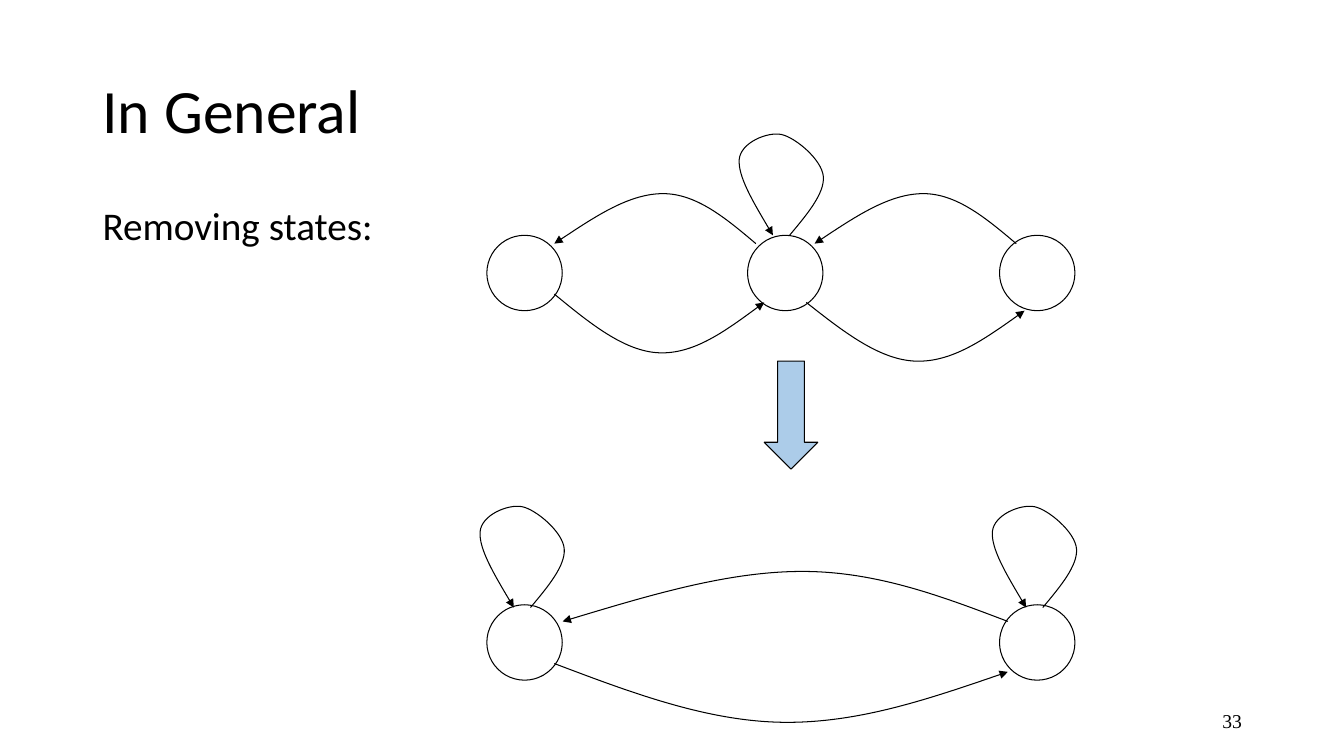
from dataclasses import dataclass

from pptx import Presentation
from pptx.dml.color import RGBColor
from pptx.enum.shapes import MSO_SHAPE
from pptx.enum.text import MSO_ANCHOR, MSO_AUTO_SIZE, PP_ALIGN
from pptx.oxml.xmlchemy import OxmlElement
from pptx.util import Cm, Pt

OVAL = MSO_SHAPE.OVAL
DOWN_ARROW = MSO_SHAPE.DOWN_ARROW
TOP = MSO_ANCHOR.TOP
MIDDLE = MSO_ANCHOR.MIDDLE
NO_AUTOFIT = MSO_AUTO_SIZE.NONE
LEFT = PP_ALIGN.LEFT
RIGHT = PP_ALIGN.RIGHT

BLACK = RGBColor(0x00, 0x00, 0x00)
BLUE = RGBColor(0x5B, 0x9B, 0xD5)
LINE_WIDTH = Pt(0.75)
STATE_SIZE = 1.9
LEFT_STATE, MIDDLE_STATE, RIGHT_STATE = 12.27, 18.84, 25.19
UPPER_ROW, LOWER_ROW = 5.93, 15.24


@dataclass(frozen=True)
class Point:
    x: float
    y: float

    def __add__(self, other: "Point") -> "Point":
        return Point(self.x + other.x, self.y + other.y)

    def __sub__(self, other: "Point") -> "Point":
        return Point(self.x - other.x, self.y - other.y)

    def scaled(self, factor: float) -> "Point":
        return Point(self.x * factor, self.y * factor)


@dataclass(frozen=True)
class Label:
    text: str
    left: float
    top: float
    width: float
    height: float
    font: str
    size: int
    anchor: MSO_ANCHOR
    alignment: PP_ALIGN
    line_spacing: float


STATES = [
    Point(LEFT_STATE, UPPER_ROW),
    Point(MIDDLE_STATE, UPPER_ROW),
    Point(RIGHT_STATE, UPPER_ROW),
    Point(LEFT_STATE, LOWER_ROW),
    Point(RIGHT_STATE, LOWER_ROW),
]
ARCS = [
    [Point(13.97, 7.41), Point(16.61, 8.89), Point(19.26, 7.62)],
    [Point(19.05, 6.14), Point(16.71, 4.88), Point(13.97, 6.14)],
    [Point(20.32, 7.62), Point(23.07, 9.1), Point(25.82, 7.83)],
    [Point(25.61, 6.14), Point(23.27, 4.88), Point(20.53, 6.14)],
    [Point(13.97, 16.72), Point(19.69, 18.2), Point(25.4, 16.93)],
    [Point(25.4, 15.66), Point(20.22, 14.4), Point(14.18, 15.66)],
]
LOOP_STARTS = [Point(19.9, 5.93), Point(13.37, 15.31), Point(26.28, 15.31)]
LOOP_OFFSETS = [
    Point(0, 0),
    Point(0.85, -1.48),
    Point(-0.21, -2.54),
    Point(-1.27, -1.91),
    Point(-0.42, 0),
]
TITLE = Label("In General", 2.33, 1.01, 29.21, 3.68, "Calibri", 44, MIDDLE, LEFT, 0.9)
BODY = Label("Removing states:", 2.33, 5.07, 29.21, 12.09, "Calibri", 28, TOP, LEFT, 0.9)
NUMBER = Label("33", 23.93, 17.65, 7.62, 1.01, "Times New Roman", 14, MIDDLE, RIGHT, 1.0)


def write_label(shape, label: Label) -> None:
    shape.left, shape.top = Cm(label.left), Cm(label.top)
    shape.width, shape.height = Cm(label.width), Cm(label.height)
    frame = shape.text_frame
    frame.word_wrap = True
    frame.auto_size = NO_AUTOFIT
    frame.vertical_anchor = label.anchor
    paragraph = frame.paragraphs[0]
    properties = shape.element.xpath(".//a:p")[0].get_or_add_pPr()
    properties.set("marL", str(Cm(0)))
    properties.set("indent", str(Cm(0)))
    properties.append(OxmlElement("a:buNone"))
    paragraph.alignment = label.alignment
    paragraph.line_spacing = label.line_spacing
    paragraph.space_before = Pt(0)
    run = paragraph.add_run()
    run.text = label.text
    run.font.name = label.font
    run.font.size = Pt(label.size)
    run.font.color.rgb = BLACK


def style_outline(shape) -> None:
    shape.shadow.inherit = False
    shape.fill.background()
    shape.line.color.rgb = BLACK
    shape.line.width = LINE_WIDTH


def draw_state(slide, corner: Point) -> None:
    size = Cm(STATE_SIZE)
    style_outline(slide.shapes.add_shape(OVAL, Cm(corner.x), Cm(corner.y), size, size))


def bezier_points(knots: list[Point]) -> list[Point]:
    tangents = [(after - before).scaled(1 / 6) for before, after in zip(knots, knots[2:])]
    points = []
    for index, (start, end) in enumerate(zip(knots, knots[1:])):
        first = start + tangents[index - 1] if index else None
        second = end - tangents[index] if index < len(tangents) else None
        first = first or (start + second).scaled(0.5)
        second = second or (first + end).scaled(0.5)
        points += [first, second, end]
    return points


def draw_transition(slide, knots: list[Point]) -> None:
    builder = slide.shapes.build_freeform(Cm(knots[0].x), Cm(knots[0].y))
    points = [(Cm(point.x), Cm(point.y)) for point in bezier_points(knots)]
    builder.add_line_segments(points, close=False)
    shape = builder.convert_to_shape()
    outline = shape.element.xpath(".//a:path")[0]
    segments = outline.xpath("a:lnTo")
    for index in range(0, len(segments), 3):
        curve = OxmlElement("a:cubicBezTo")
        for segment in segments[index:index + 3]:
            curve.append(segment[0])
            outline.remove(segment)
        outline.append(curve)
    style_outline(shape)
    arrowhead = OxmlElement("a:tailEnd")
    arrowhead.set("type", "triangle")
    shape.element.xpath(".//a:ln")[0].append(arrowhead)


def draw_step_arrow(slide) -> None:
    arrow = slide.shapes.add_shape(DOWN_ARROW, Cm(19.26), Cm(9.1), Cm(1.35), Cm(2.72))
    style_outline(arrow)
    arrow.fill.solid()
    arrow.fill.fore_color.rgb = BLUE
    alpha = OxmlElement("a:alpha")
    alpha.set("val", "50000")
    arrow.element.xpath("p:spPr/a:solidFill/a:srgbClr")[0].append(alpha)


def main() -> None:
    presentation = Presentation()
    presentation.slide_width = Cm(33.87)
    presentation.slide_height = Cm(19.05)
    slide = presentation.slides.add_slide(presentation.slide_layouts[1])
    write_label(slide.shapes.title, TITLE)
    write_label(slide.placeholders[1], BODY)
    write_label(slide.shapes.add_textbox(0, 0, 0, 0), NUMBER)
    for corner in STATES:
        draw_state(slide, corner)
    for knots in ARCS:
        draw_transition(slide, knots)
    for start in LOOP_STARTS:
        draw_transition(slide, [start + offset for offset in LOOP_OFFSETS])
    draw_step_arrow(slide)
    presentation.save("out.pptx")


if __name__ == "__main__":
    main()
